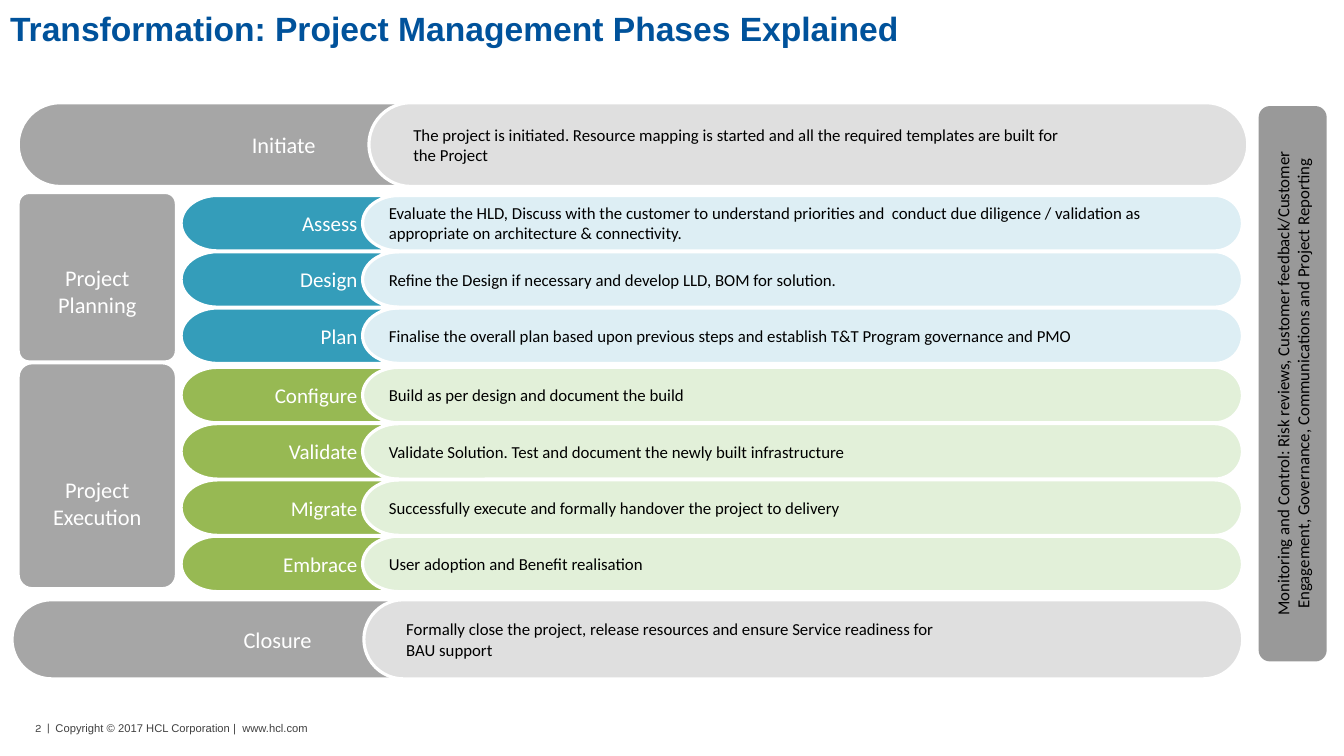
from pptx import Presentation
from pptx.dml.color import RGBColor
from pptx.enum.shapes import MSO_SHAPE
from pptx.enum.text import MSO_ANCHOR, MSO_AUTO_SIZE, PP_ALIGN
from pptx.util import Pt

ROUND, STORE = MSO_SHAPE.ROUNDED_RECTANGLE, MSO_SHAPE.FLOWCHART_STORED_DATA
LEFT, MID, RIGHT = PP_ALIGN.LEFT, PP_ALIGN.CENTER, PP_ALIGN.RIGHT
TOP, CENTER = MSO_ANCHOR.TOP, MSO_ANCHOR.MIDDLE
FIXED = MSO_AUTO_SIZE.NONE

WHITE = RGBColor(0xFF, 0xFF, 0xFF)
BLACK = RGBColor(0, 0, 0)
NAVY = RGBColor(0x00, 0x52, 0x9B)
INK = RGBColor(0x40, 0x40, 0x40)
GREY = RGBColor(0xA6, 0xA6, 0xA6)
PALE = RGBColor(0xDF, 0xDF, 0xDF)
SLATE = RGBColor(0x99, 0x99, 0x99)
TEAL = RGBColor(0x34, 0x9D, 0xBA)
SKY = RGBColor(0xDD, 0xEE, 0xF4)
GREEN = RGBColor(0x97, 0xB9, 0x53)
MINT = RGBColor(0xE2, 0xF0, 0xD9)


def write(frame, text, size=12, font="Calibri", color=BLACK, bold=False, align=LEFT):
    """Add text to the last paragraph; each further line gets its own."""
    for num, line in enumerate(text.split("\n")):
        para = frame.add_paragraph() if num else frame.paragraphs[-1]
        para.alignment = align
        run = para.add_run()
        run.text = line
        run.font.size, run.font.name, run.font.bold = Pt(size), font, bold
        run.font.color.rgb = color


def block(kind, box, fill, text, pad=(3.6, 3.6, 3.6), curve=None, edge=True, **fmt):
    """Draw a filled shape with text; pad is left, top, right."""
    shape = slide.shapes.add_shape(kind, *map(Pt, box))
    shape.shadow.inherit = False
    shape.fill.solid()
    shape.fill.fore_color.rgb = fill
    if edge:
        shape.line.color.rgb = WHITE
        shape.line.width = Pt(2.25)
    else:
        shape.line.fill.background()
    if curve is not None:
        shape.adjustments[0] = curve
    frame = shape.text_frame
    frame.word_wrap = True
    frame.vertical_anchor = CENTER
    frame.margin_left, frame.margin_top, frame.margin_right = map(Pt, pad)
    frame.margin_bottom = Pt(3.6)
    write(frame, text, **fmt)
    return shape


deck = Presentation()
deck.slide_width, deck.slide_height = Pt(960), Pt(540)
slide = deck.slides.add_slide(deck.slide_layouts[5])

# Title
title = slide.shapes.title
title.left, title.top, title.width, title.height = Pt(0), Pt(2.2), Pt(880), Pt(47.5)
title.text_frame.auto_size = FIXED
title.text_frame.vertical_anchor = TOP
write(title.text_frame, "Transformation: Project Management Phases Explained",
      size=24, font="Arial", color=NAVY, bold=True)

# First and last phase: left, top, height, offset of the pill, inset
ends = [
    (13, 73.4, 59.8, 250.5, 23, "Initiate",
     "The project is initiated. Resource mapping is started and all the "
     "required templates are built for\nthe Project"),
    (8.6, 428.4, 56.5, 251.3, 22, "Closure",
     "Formally close the project, release resources and ensure Service "
     "readiness for\nBAU support"),
]
for left, top, high, shift, inset, name, text in ends:
    block(ROUND, (left, top, 379.4, high), GREY, name, curve=0.5,
          size=16, color=WHITE, align=MID)
    block(ROUND, (left + shift, top, 627.8, high), PALE, text,
          pad=(inset, 3.6, 7.2), curve=0.5)

# Middle phases: group box, then one tag and bar per step
groups = [
    ("Project Planning", 137.5, 121, 0.069, 23, 139.6, TEAL, SKY, [
        ("Assess", "Evaluate the HLD, Discuss with the customer to understand "
                   "priorities and  conduct due diligence / validation as "
                   "appropriate on architecture & connectivity."),
        ("Design", "Refine the Design if necessary and develop LLD, BOM for solution."),
        ("Plan", "Finalise the overall plan based upon previous steps and "
                 "establish T&T Program governance and PMO"),
    ]),
    ("Project Execution", 259.2, 161.3, 0.087, 42.6, 262.4, GREEN, MINT, [
        ("Configure", "Build as per design and document the build"),
        ("Validate", "Validate Solution. Test and document the newly built infrastructure"),
        ("Migrate", "Successfully execute and formally handover the project to delivery"),
        ("Embrace", "User adoption and Benefit realisation"),
    ]),
]
STEP, HIGH = 40.2, 39.6
for name, top, tall, curve, drop, first, dark, light, steps in groups:
    block(ROUND, (13, top, 113, tall), GREY, name, pad=(3.6, drop, 3.6),
          curve=curve, size=16, color=WHITE, align=MID)
    for num, (tag, text) in enumerate(steps):
        row = first + num * STEP
        block(ROUND, (156, row, 731.5, HIGH), light, text,
              pad=(116, 3.6, 20), curve=0.5)
        block(STORE, (129.4, row, 155.5, HIGH), dark, tag,
              size=15, color=WHITE, align=RIGHT)

# Monitoring band, turned to read upwards
band = block(ROUND, (725, 249.8, 396.7, 48.6), SLATE,
             "Monitoring and Control: Risk reviews, Customer feedback/Customer "
             "Engagement, Governance, Communications and Project Reporting",
             pad=(7.2, 3.6, 7.2), edge=False, align=MID)
band.rotation = 270

# Footer
foot = slide.shapes.add_textbox(Pt(18), Pt(512), Pt(360.7), Pt(16.6)).text_frame
foot.word_wrap = True
write(foot, "2  |  ", size=8, font="Karla", color=INK)
write(foot, "Copyright © 2017 HCL Corporation |  www.hcl.com",
      size=8, font="Arial", color=INK)

deck.save("out.pptx")
